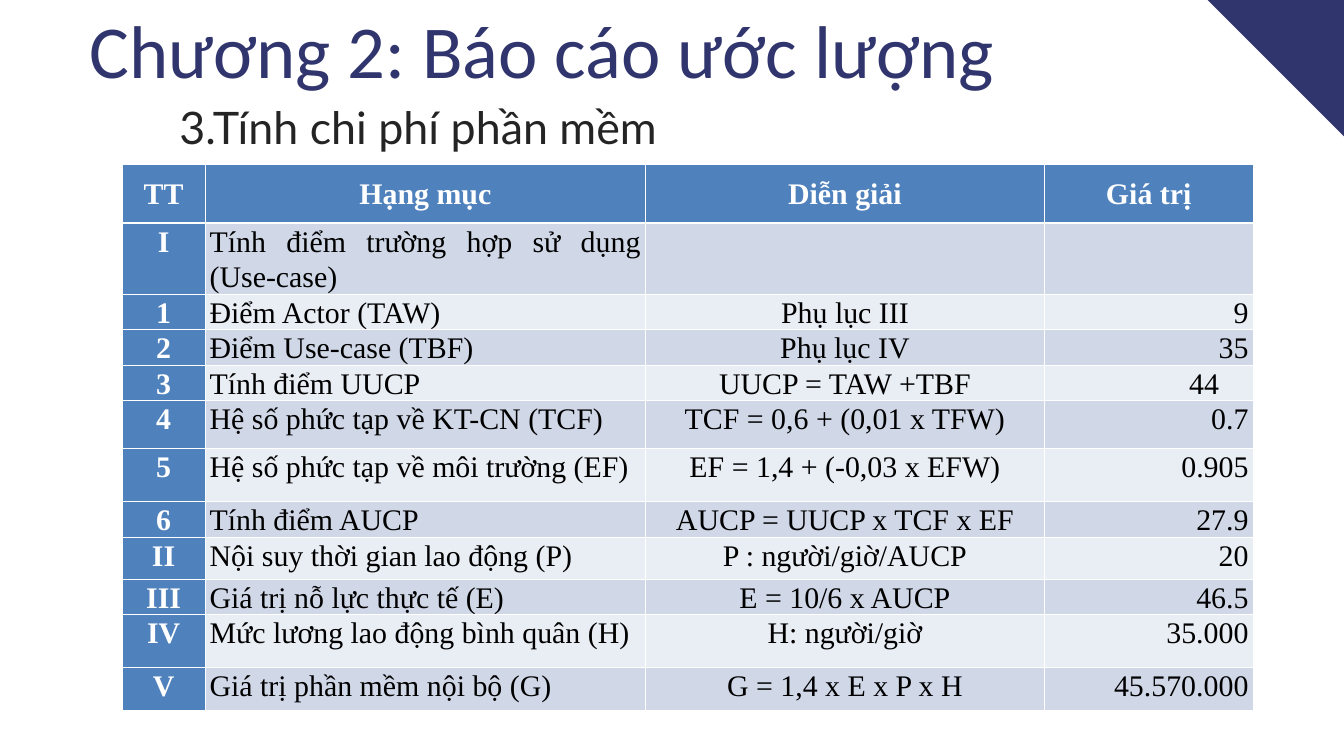
from lxml import etree
from pptx import Presentation, util as u
from pptx.dml.color import RGBColor
from pptx.enum import text
from pptx.oxml import ns

AL, ANC = text.PP_ALIGN, text.MSO_ANCHOR
WIDTH, HEIGHT = 20, 11.25
COLS, ROWS = 20, 11.25

HEADER = ["TT", "Hạng mục", "Diễn giải", "Giá trị"]
ITEMS = [
    ("I", "Tính điểm trường hợp sử dụng (Use-case)", "", ""),
    ("1", "Điểm Actor (TAW)", "Phụ lục III", "9"),
    ("2", "Điểm Use-case (TBF)", "Phụ lục IV", "35"),
    ("3", "Tính điểm UUCP", "UUCP = TAW +TBF", "44"),
    ("4", "Hệ số phức tạp về KT-CN (TCF)", "TCF = 0,6 + (0,01 x TFW)", "0.7"),
    ("5", "Hệ số phức tạp về môi trường (EF)", "EF = 1,4 + (-0,03 x EFW)", "0.905"),
    ("6", "Tính điểm AUCP", "AUCP = UUCP x TCF x EF", "27.9"),
    ("II", "Nội suy thời gian lao động (P)", "P : người/giờ/AUCP", "20"),
    ("III", "Giá trị nỗ lực thực tế (E)", "E = 10/6 x AUCP", "46.5"),
    ("IV", "Mức lương lao động bình quân (H)", "H: người/giờ", "35.000"),
    ("V", "Giá trị phần mềm nội bộ (G)", "G = 1,4 x E x P x H", "45.570.000"),
]
COL_WIDTHS = [1.23, 6.56, 5.93, 3.11]
ROW_HEIGHTS = [0.88, 0.83, 0.45, 0.47, 0.46, 0.71, 0.79, 0.54, 0.62, 0.47, 0.79, 0.63]
INDENTED_VALUE = "44"


def rgb(hex_color):
    return RGBColor.from_string(hex_color)


def write(tf, words, font, size, color, bold=False, align=AL.LEFT, spacing=None, gap=0):
    """Fill a text frame with one formatted paragraph."""
    p = tf.paragraphs[0]
    p.alignment = align
    p.line_spacing = spacing
    p.space_before = p.space_after = u.Pt(gap)
    r = p.add_run()
    r.text = words
    r.font.name, r.font.size, r.font.bold = font, u.Pt(size), bold
    r.font.color.rgb = rgb(color)


def set_border(cell, side, color, points):
    """Draw one cell edge; call for L, R, T, B in that order, before the fill."""
    ln = etree.SubElement(cell._tc.get_or_add_tcPr(), ns.qn(f"a:ln{side}"), w=str(u.Pt(points)))
    fill = etree.SubElement(ln, ns.qn("a:solidFill"))
    etree.SubElement(fill, ns.qn("a:srgbClr"), val=color)


class Deck:
    navy, ink, black, white = "31356E", "242424", "000000", "FFFFFF"
    header, bands = "4F81BD", ("E9EDF4", "D0D8E8")
    title_font, body_font, table_font = "Calibri", "Lato", "Times New Roman"

    def __init__(self):
        self.prs = Presentation()
        self.prs.slide_width, self.prs.slide_height = u.Inches(WIDTH), u.Inches(HEIGHT)
        self.s = self.prs.slides.add_slide(self.prs.slide_layouts[5])

    def x(self, cols):
        return int(self.prs.slide_width * cols / COLS)

    def y(self, rows):
        return int(self.prs.slide_height * rows / ROWS)

    def box(self, left, top, width, height):
        return self.x(left), self.y(top), self.x(width), self.y(height)

    def frame(self, sp):
        """Give a shape's text frame no margins and top-anchored wrapping."""
        tf = sp.text_frame
        tf.word_wrap, tf.auto_size = True, text.MSO_AUTO_SIZE.NONE
        tf.vertical_anchor = ANC.TOP
        tf.margin_left = tf.margin_right = tf.margin_top = tf.margin_bottom = 0
        return tf

    def title(self, words, *place):
        sp = self.s.shapes.title
        sp.left, sp.top, sp.width, sp.height = self.box(*place)
        write(self.frame(sp), words, self.title_font, 80, self.navy, spacing=u.Pt(96))

    def subtitle(self, words, *place):
        sp = self.s.shapes.add_textbox(*self.box(*place))
        write(self.frame(sp), words, self.body_font, 48, self.ink, spacing=u.Pt(38.4))

    def corner(self, side):
        """Fill a triangle in the top right corner."""
        start, end = self.x(COLS - side), self.x(COLS)
        builder = self.s.shapes.build_freeform(start, 0)
        builder.add_line_segments([(end, 0), (end, self.y(side))], close=True)
        sp = builder.convert_to_shape()
        sp.shadow.inherit = False
        sp.fill.solid()
        sp.fill.fore_color.rgb = rgb(self.navy)
        sp.line.fill.background()

    def table(self, rows, left, top, widths, heights):
        place = self.box(left, top, sum(widths), sum(heights))
        tbl = self.s.shapes.add_table(len(rows), len(widths), *place).table
        for column, width in zip(tbl.columns, widths):
            column.width = self.x(width)
        for row, height in zip(tbl.rows, heights):
            row.height = self.y(height)
        for i, row in enumerate(rows):
            for j, words in enumerate(row):
                self.cell(tbl.cell(i, j), words, i, j)

    def cell(self, cell, words, i, j):
        is_head = i == 0 or j == 0
        edges = {"L": 1, "R": 1, "T": 3 if i == 1 else 1, "B": 3 if i == 0 else 1}
        for side, points in edges.items():
            set_border(cell, side, self.white, points)
        cell.fill.solid()
        cell.fill.fore_color.rgb = rgb(self.header if is_head else self.bands[i % 2])
        cell.margin_left = cell.margin_right = self.x(0.07)
        cell.margin_top = cell.margin_bottom = 0
        cell.vertical_anchor = ANC.MIDDLE if i == 0 else ANC.TOP
        if words == INDENTED_VALUE:
            cell.margin_right = self.x(0.51)
        if words:
            align = AL.CENTER if is_head else (AL.JUSTIFY, AL.CENTER, AL.RIGHT)[j - 1]
            write(cell.text_frame, words, self.table_font, 32,
                  self.white if is_head else self.black,
                  bold=is_head, align=align, spacing=1.07, gap=6)


def main():
    deck = Deck()
    deck.title("Chương 2: Báo cáo ước lượng", 1.33, 0.05, 16.42, 1.35)
    deck.corner(2.03)
    deck.subtitle("3.Tính chi phí phần mềm", 2.67, 1.75, 9.49, 0.56)
    deck.table([HEADER, *ITEMS], 1.82, 2.44, COL_WIDTHS, ROW_HEIGHTS)
    deck.prs.save("out.pptx")


if __name__ == "__main__":
    main()
